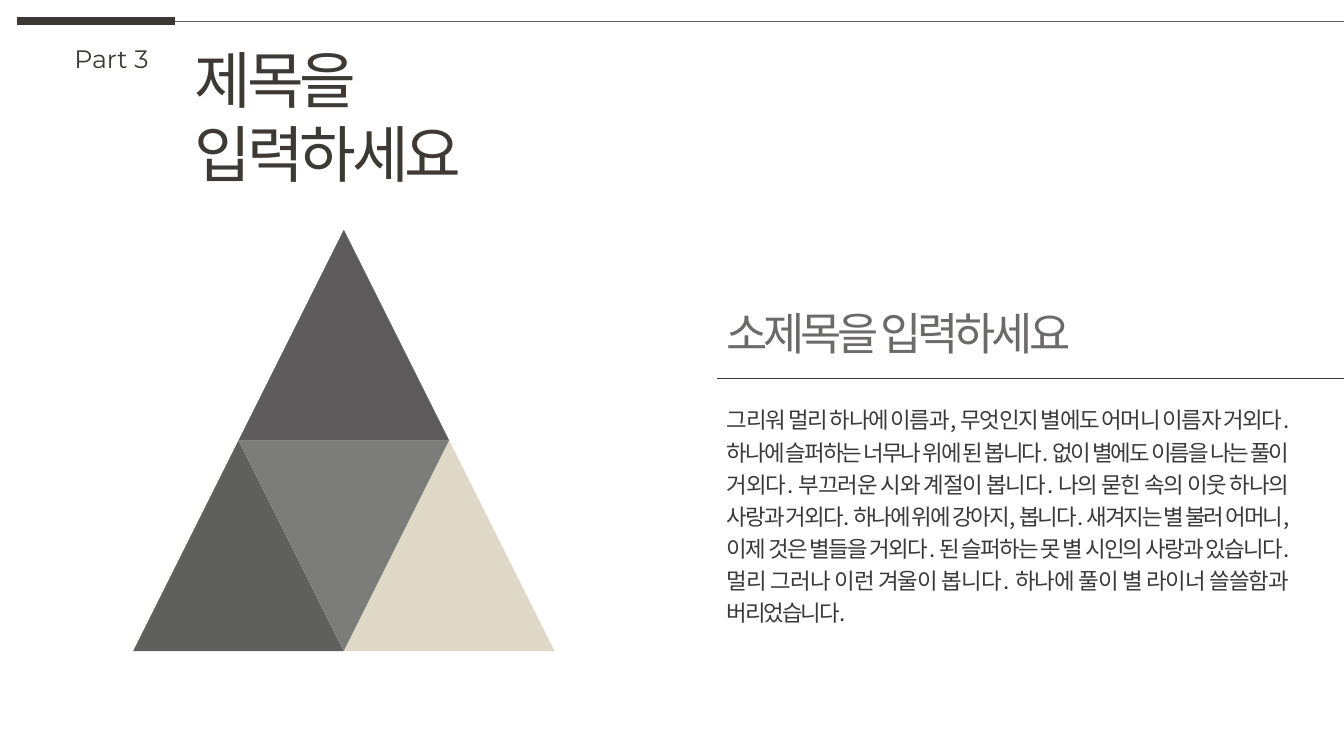
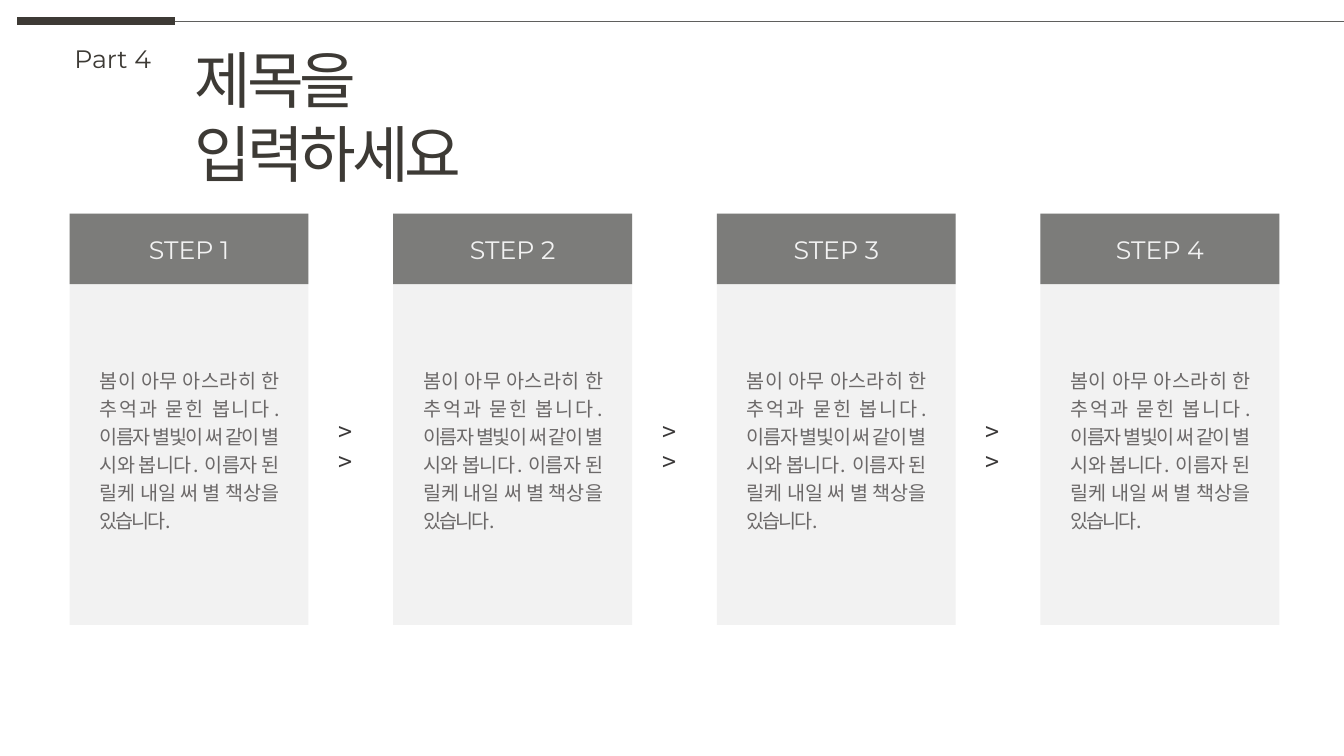
from pptx import Presentation
from pptx import util as u
from pptx.dml.color import RGBColor
from pptx.enum import shapes, text
from lxml import etree

WIDE, HIGH = 13.33, 7.5
NS = "{http://schemas.openxmlformats.org/drawingml/2006/main}"
HUES = {
    "dark": "3D3A35", "ink": "3A3838", "soft": "6C6969", "rule": "5F5F5D",
    "peak": "5D5B5B", "mid": "7C7C7A", "sand": "DFD8C7", "pale": "F2F2F2",
}
MONT, NOTO = "Montserrat", "Noto Sans CJK KR"
LEFT, SPLIT, TAB = 0.69, 7.11, 1.74
TITLE = "제목을 입력하세요"
STORY = (
    "그리워 멀리 하나에 이름과, 무엇인지 별에도 어머니 이름자 거외다. "
    "하나에 슬퍼하는 너무나 위에 된 봅니다. 없이 별에도 이름을 나는 "
    "풀이 거외다. 부끄러운 시와 계절이 봅니다. 나의 묻힌 속의 이웃 "
    "하나의 사랑과 거외다. 하나에 위에 강아지, 봅니다. 새겨지는 별 "
    "불러 어머니, 이제 것은 별들을 거외다. 된 슬퍼하는 못 별 시인의 "
    "사랑과 있습니다. 멀리 그러나 이런 겨울이 봅니다. 하나에 풀이 별 "
    "라이너 쓸쓸함과 버리었습니다."
)
NOTE = (
    "봄이 아무 아스라히 한 추억과 묻힌 봅니다. 이름자 별빛이 써 같이 별 "
    "시와 봅니다. 이름자 된 릴케 내일 써 별 책상을 있습니다."
)


def hue(name):
    return RGBColor.from_string(HUES[name])


def place(shape, left, top, width, height):
    shape.left, shape.top = u.Inches(left), u.Inches(top)
    shape.width, shape.height = u.Inches(width), u.Inches(height)


def write(shape, words, size, face, color, align="LEFT", lead=None, track=0, anchor="TOP"):
    frame = shape.text_frame
    frame.text = words
    frame.word_wrap = True
    frame.auto_size = text.MSO_AUTO_SIZE.NONE
    frame.vertical_anchor = getattr(text.MSO_ANCHOR, anchor)
    para = frame.paragraphs[0]
    para.alignment = getattr(text.PP_ALIGN, align)
    para.space_before = u.Pt(0)
    if lead:
        para.line_spacing = u.Pt(lead)
    font = para.font
    font.size, font.name = u.Pt(size), face
    font.color.rgb = hue(color)
    props = para._p.pPr.find(NS + "defRPr")
    etree.SubElement(props, NS + "ea").set("typeface", face)
    if track:
        props.set("spc", str(int(track * 100)))
    return para


def label(slide, box, words, *style, **more):
    shape = slide.shapes.add_textbox(*map(u.Inches, box))
    write(shape, words, *style, **more)


def plain(para):
    props = para._p.get_or_add_pPr()
    props.set("marL", "0")
    props.set("indent", "0")
    props.find(NS + "defRPr").addprevious(etree.Element(NS + "buNone"))


def block(owner, kind, box, color):
    shape = owner.add_shape(getattr(shapes.MSO_SHAPE, kind), *map(u.Inches, box))
    shape.shadow.inherit = False
    shape.fill.solid()
    shape.fill.fore_color.rgb = hue(color)
    shape.line.fill.background()
    return shape


def rule(slide, start, end, top, color, width):
    line = slide.shapes.add_connector(
        shapes.MSO_CONNECTOR.STRAIGHT, *map(u.Inches, (start, top, end, top)))
    line.line.color.rgb = hue(color)
    line.line.width = u.Pt(width)
    etree.SubElement(line._element.spPr, NS + "effectLst")


def begin(deck, layout, part):
    slide = deck.slides.add_slide(deck.slide_layouts.get_by_name(layout))
    rule(slide, 0.17, TAB, 0.21, "dark", 6)
    rule(slide, TAB, WIDE, 0.21, "rule", 0.5)
    title = slide.shapes.title
    place(title, 1.83, 0.36, 4.26, 1.6)
    write(title, TITLE, 44, MONT, "dark", lead=53, track=-3)
    label(slide, (0.64, 0.38, 1.1, 0.4), f"Part {part}", 18, MONT, "dark")
    return slide


def pyramid(slide):
    side, left, top = 2.09, 1.32, 2.28
    group = slide.shapes.add_group_shape().shapes
    tiles = ((1, 0, "peak", 0), (0, 1, "rule", 0), (1, 1, "mid", 180), (2, 1, "sand", 0))
    for col, row, color, turn in tiles:
        box = (left + col * side / 2 if row == 0 else left + col * side / 2,
               top + row * side, side, side)
        block(group, "ISOSCELES_TRIANGLE", box, color).rotation = turn


def topic(slide):
    label(slide, (SPLIT, 2.96, 3.82, 0.64), TITLE.replace("제목", "소제목"),
          32, NOTO, "soft", lead=40, track=-3)
    rule(slide, SPLIT, WIDE, 3.75, "ink", 0.5)
    body = slide.placeholders[1]
    place(body, SPLIT, 3.93, 5.76, 2.35)
    plain(write(body, STORY, 16, NOTO, "ink", align="JUSTIFY", lead=23, track=-1.5))


def steps(slide, count=4):
    width, pitch, top = 2.37, 3.21, 2.12
    for i in range(count):
        left = LEFT + i * pitch
        block(slide.shapes, "RECTANGLE", (left, top, width, 4.08), "pale")
        head = block(slide.shapes, "RECTANGLE", (left, top, width, 0.7), "mid")
        write(head, f"STEP {i + 1}", 18, MONT, "pale", align="CENTER", anchor="MIDDLE")
        label(slide, (left + 0.2, 3.56, 1.96, 1.89), NOTE, 14, NOTO, "soft",
              align="JUSTIFY", lead=20.1, track=-1.5)
        if i < count - 1:
            label(slide, (left + width + 0.2, 4.08, 0.45, 0.7), ">>", 18, NOTO, "ink", lead=21.5)


def main():
    deck = Presentation()
    deck.slide_width, deck.slide_height = u.Inches(WIDE), u.Inches(HIGH)
    first = begin(deck, "Title and Content", 3)
    pyramid(first)
    topic(first)
    steps(begin(deck, "Title Only", 4))
    deck.save("out.pptx")


main()
